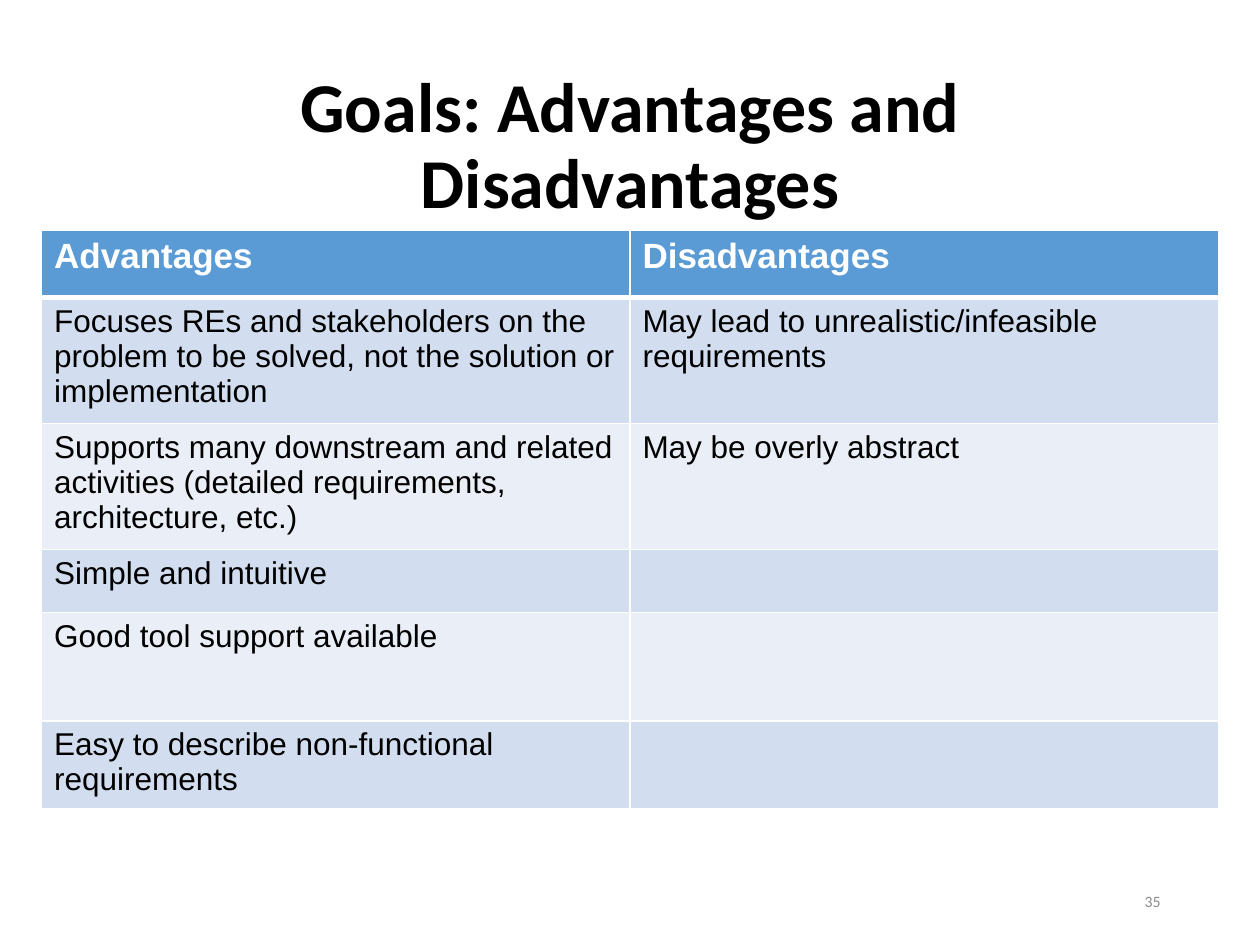
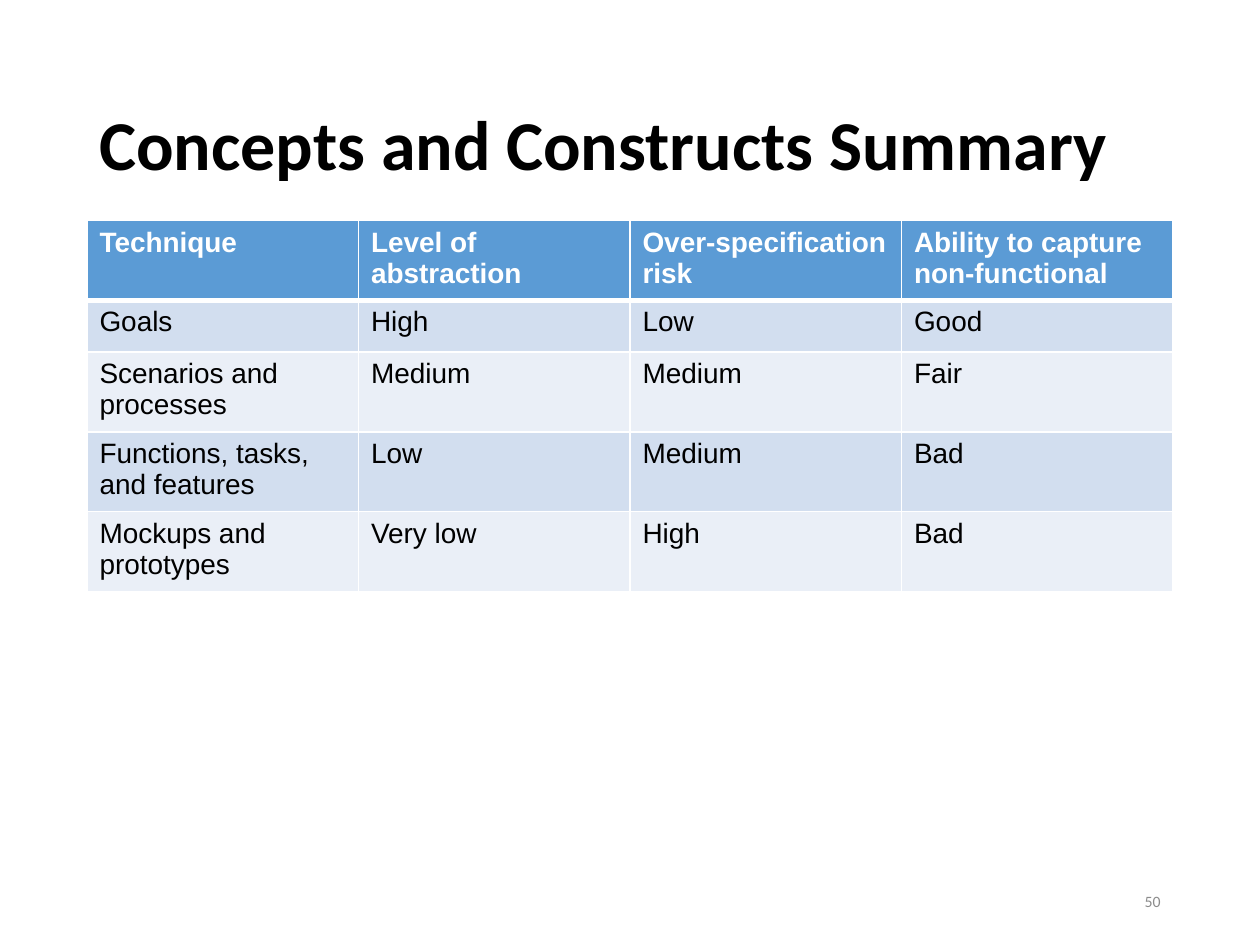
from dataclasses import dataclass

from lxml import etree
from pptx import Presentation, util as u
from pptx.dml import color
from pptx.enum import text
from pptx.oxml import ns

SLIDES = [
    {
        "title": "Goals: Advantages and Disadvantages",
        "title_align": text.PP_ALIGN.CENTER,
        "number": "35",
        "table_box": (0.33, 1.83, 9.34),
        "row_heights": [0.53, 0.94, 0.94, 0.5, 0.86, 0.66],
        "header_size": 20,
        "body_size": 18,
        "rows": [
            ("Advantages", "Disadvantages"),
            ("Focuses REs and stakeholders on the problem to be solved, "
             "not the solution or implementation",
             "May lead to unrealistic/infeasible requirements"),
            ("Supports many downstream and related activities "
             "(detailed requirements, architecture, etc.)",
             "May be overly abstract"),
            ("Simple and intuitive", ""),
            ("Good tool support available", ""),
            ("Easy to describe non-functional requirements", ""),
        ],
    },
    {
        "title": "Concepts and Constructs Summary",
        "title_align": text.PP_ALIGN.LEFT,
        "number": "50",
        "table_box": (0.69, 1.75, 8.62),
        "row_heights": [0.59, 0.41, 0.59, 0.59, 0.59],
        "header_size": 16,
        "body_size": 16,
        "rows": [
            ("Technique", "Level of abstraction", "Over-specification risk",
             "Ability to capture non-functional"),
            ("Goals", "High", "Low", "Good"),
            ("Scenarios and processes", "Medium", "Medium", "Fair"),
            ("Functions, tasks, and features", "Low", "Medium", "Bad"),
            ("Mockups and prototypes", "Very low", "High", "Bad"),
        ],
    },
]

TITLE_BOX = (0.69, 0.77, 8.62, 0.81)
NUMBER_BOX = (7.06, 6.95, 2.25, 0.4)


@dataclass(frozen=True)
class Theme:
    heading_font: str = "Calibri"
    table_font: str = "Arial"
    title_size: int = 40
    number_size: int = 9
    ink: str = "000000"
    muted: str = "8C8C8C"
    white: str = "FFFFFF"
    header_fill: str = "5B9BD5"
    bands: tuple = ("D2DEEF", "EAEFF7")
    rule: int = 1
    header_rule: int = 3


THEME = Theme()


def add_run(paragraph, content, font, size, ink, bold=False):
    run = paragraph.add_run()
    run.text = content
    run.font.name = font
    run.font.size = u.Pt(size)
    run.font.bold = bold
    run.font.color.rgb = color.RGBColor.from_string(ink)


def add_label(slide, box, content, align, size, ink, bold=False, spacing=1.0):
    shape = slide.shapes.add_textbox(*map(u.Inches, box))
    frame = shape.text_frame
    frame.word_wrap = True
    frame.vertical_anchor = text.MSO_ANCHOR.MIDDLE
    paragraph = frame.paragraphs[0]
    paragraph.alignment = align
    paragraph.line_spacing = spacing
    add_run(paragraph, content, THEME.heading_font, size, ink, bold)


def set_borders(cell, widths):
    properties = cell._tc.get_or_add_tcPr()
    for side, width in widths.items():
        line = etree.SubElement(properties, ns.qn(f"a:ln{side}"), w=str(u.Pt(width)))
        fill = etree.SubElement(line, ns.qn("a:solidFill"))
        etree.SubElement(fill, ns.qn("a:srgbClr"), val=THEME.white)


def style_cell(cell, content, row_index, size):
    header = row_index == 0
    set_borders(cell, {
        "L": THEME.rule,
        "R": THEME.rule,
        "T": THEME.header_rule if row_index == 1 else THEME.rule,
        "B": THEME.header_rule if header else THEME.rule,
    })
    cell.fill.solid()
    fill = THEME.header_fill if header else THEME.bands[(row_index - 1) % 2]
    cell.fill.fore_color.rgb = color.RGBColor.from_string(fill)
    if content:
        add_run(cell.text_frame.paragraphs[0], content, THEME.table_font, size,
                THEME.white if header else THEME.ink, header)


def add_grid(slide, data):
    rows, heights = data["rows"], data["row_heights"]
    column_count = len(rows[0])
    left, top, width = data["table_box"]
    box = (left, top, width, sum(heights))
    table = slide.shapes.add_table(len(rows), column_count, *map(u.Inches, box)).table
    table.horz_banding = False
    for column in table.columns:
        column.width = u.Inches(width / column_count)
    for row_index, (values, height) in enumerate(zip(rows, heights)):
        table.rows[row_index].height = u.Inches(height)
        size = data["body_size"] if row_index else data["header_size"]
        for column_index, content in enumerate(values):
            style_cell(table.cell(row_index, column_index), content, row_index, size)


def main():
    presentation = Presentation()
    presentation.slide_width, presentation.slide_height = u.Inches(10), u.Inches(7.5)
    for data in SLIDES:
        slide = presentation.slides.add_slide(presentation.slide_layouts[6])
        add_label(slide, TITLE_BOX, data["title"], data["title_align"],
                  THEME.title_size, THEME.ink, bold=True, spacing=0.9)
        add_grid(slide, data)
        add_label(slide, NUMBER_BOX, data["number"], text.PP_ALIGN.RIGHT,
                  THEME.number_size, THEME.muted)
    presentation.save("out.pptx")


if __name__ == "__main__":
    main()
